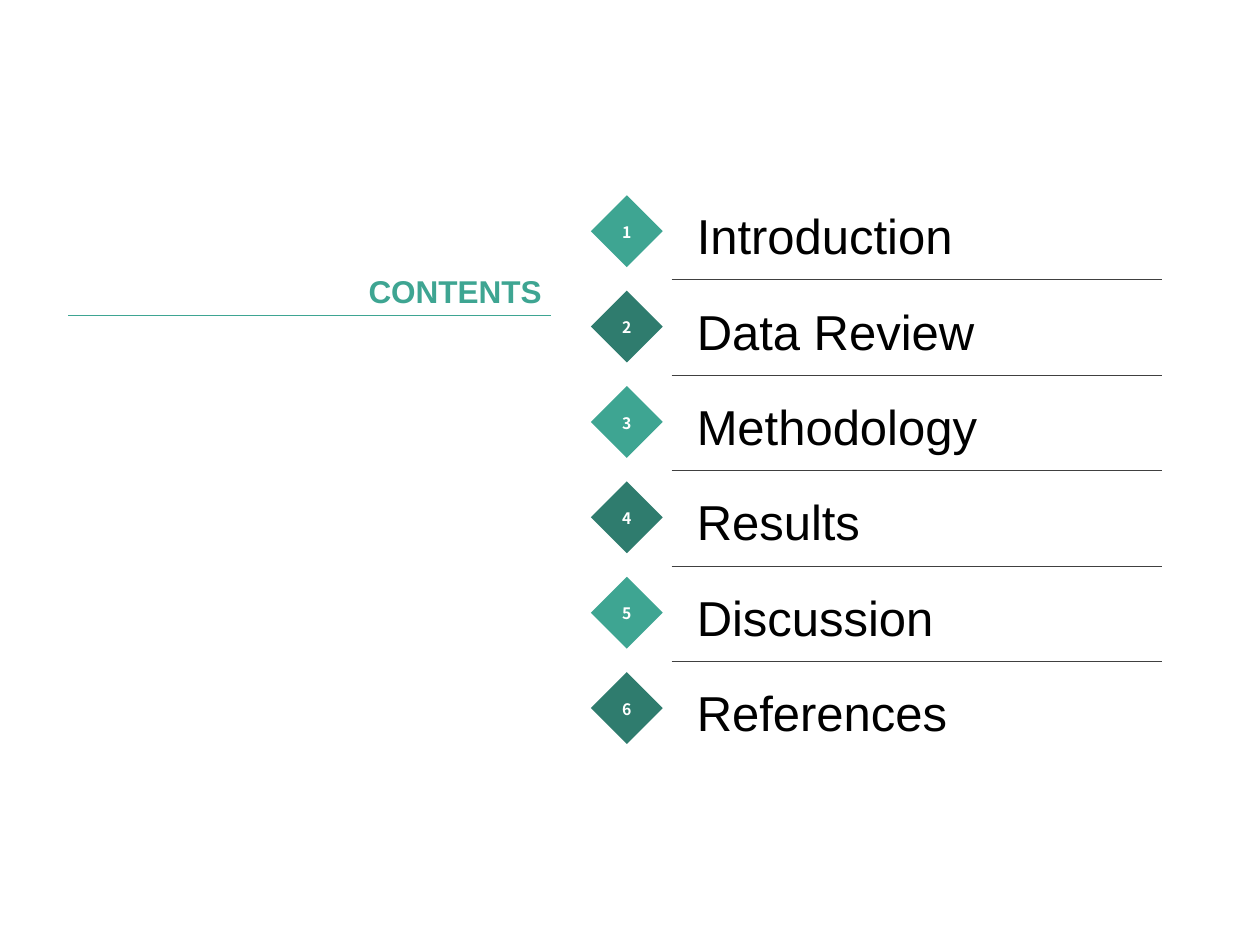
from lxml import etree
from pptx import Presentation
from pptx.dml.color import RGBColor
from pptx.enum.shapes import MSO_CONNECTOR as CONNECTOR, MSO_SHAPE as SHAPE
from pptx.enum.text import MSO_ANCHOR as ANCHOR, MSO_AUTO_SIZE as AUTO_SIZE, PP_ALIGN as ALIGN
from pptx.oxml.ns import qn
from pptx.util import Inches, Pt

TEAL, DARK_TEAL = "3EA592", "2F7C6E"
CHAPTERS = ["Introduction", "Data Review", "Methodology", "Results", "Discussion", "References"]
ROW_STEP = 0.757


def write(box, text, font, size, color, bold, align, anchor, spacing, margins):
    """Put one formatted paragraph in box; margins are left, top, right, bottom in inches."""
    frame = box.text_frame
    frame.text = text
    frame.word_wrap = True
    frame.auto_size = AUTO_SIZE.NONE
    frame.vertical_anchor = anchor
    frame.margin_left, frame.margin_top, frame.margin_right, frame.margin_bottom = map(Inches, margins)
    para = frame.paragraphs[0]
    para.alignment = align
    para.line_spacing = spacing
    span = para.runs[0]
    span.font.name = font
    span.font.size = Pt(size)
    span.font.bold = bold
    span.font.color.rgb = RGBColor.from_string(color)


def add_rule(page, left, right, top, color):
    """Draw a thin horizontal line without a shadow."""
    rule = page.shapes.add_connector(
        CONNECTOR.STRAIGHT, Inches(left), Inches(top), Inches(right), Inches(top))
    rule.line.color.rgb = RGBColor.from_string(color)
    rule.line.width = Pt(0.25)
    etree.SubElement(rule._element.spPr, qn("a:effectLst"))


deck = Presentation()
deck.slide_width, deck.slide_height = Inches(10), Inches(7.5)
page = deck.slides.add_slide(deck.slide_layouts[5])

title = page.shapes.title
title.left, title.top, title.width, title.height = map(Inches, (0.54, 1.88, 3.83, 0.62))
write(title, "CONTENTS", "Arial", 18, TEAL, True, ALIGN.RIGHT, ANCHOR.BOTTOM, 1.2,
      (0.07, 0.04, 0.07, 0.04))
add_rule(page, 0.54, 4.37, 2.5, TEAL)

for index, chapter in enumerate(CHAPTERS):
    offset = index * ROW_STEP

    diamond = page.shapes.add_shape(
        SHAPE.DIAMOND, Inches(4.69), Inches(1.55 + offset), Inches(0.57), Inches(0.57))
    diamond.shadow.inherit = False
    diamond.fill.solid()
    diamond.fill.fore_color.rgb = RGBColor.from_string(DARK_TEAL if index % 2 else TEAL)
    diamond.line.fill.background()
    write(diamond, str(index + 1), "Noto Sans CJK SC", 9, "FFFFFF", True, ALIGN.CENTER,
          ANCHOR.MIDDLE, 1.1, (0.08, 0.04, 0.08, 0.04))

    label = page.shapes.add_textbox(
        Inches(5.46), Inches(1.68 + offset), Inches(3.88), Inches(0.32))
    write(label, chapter, "Arial", 28, "000000", False, ALIGN.LEFT, ANCHOR.MIDDLE, 1.2,
          (0.07, 0, 0.07, 0.04))

    if index < len(CHAPTERS) - 1:
        add_rule(page, 5.33, 9.22, 2.22 + offset, "404040")

deck.save("out.pptx")
